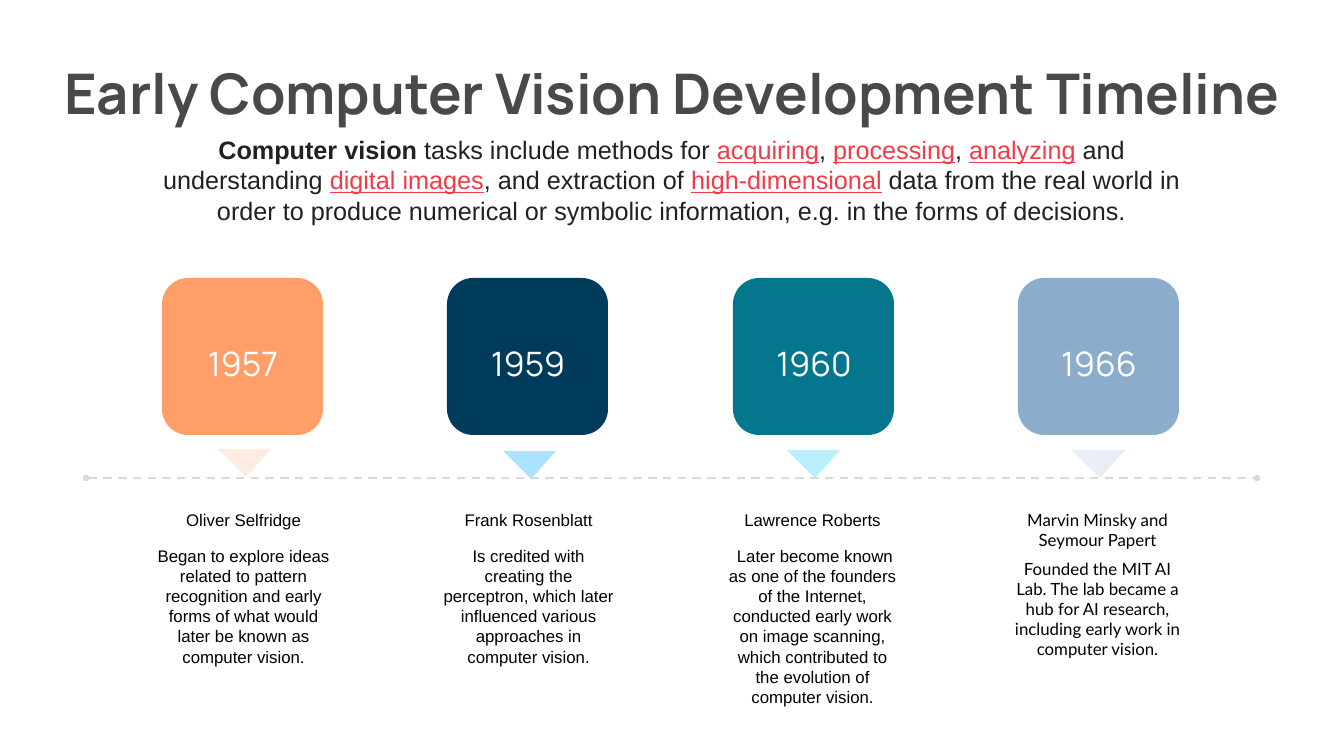
"""Build a one-page timeline of early computer vision development."""
import pptx
import pptx.dml.color
import pptx.enum.dml
import pptx.enum.shapes
import pptx.enum.text
import pptx.util
import lxml.etree
import pptx.oxml.ns

px = 18143


def paint(fill, color):
    fill.solid()
    fill.fore_color.rgb = pptx.dml.color.RGBColor.from_string(color)


def write(text, at, *, size, font="Arial", color="000000", bold=False, wrap=True, styles=None):
    box = page.shapes.add_textbox(*[value * px for value in at])
    box.text_frame.word_wrap = wrap
    box.text_frame.auto_size = pptx.enum.text.MSO_AUTO_SIZE.SHAPE_TO_FIT_TEXT
    para = box.text_frame.paragraphs[0]
    para.alignment = pptx.enum.text.PP_ALIGN.CENTER
    for part in text.split("|"):
        style = (styles or {}).get(part, {})
        span = para.add_run()
        span.text = part
        span.font.name = font
        span.font.size = pptx.util.Pt(size)
        span.font.bold = style.get("bold", bold)
        span.font.underline = style.get("underline", False)
        paint(span.font.fill, style.get("color", color))


deck = pptx.Presentation()
deck.slide_width = 1344 * px
deck.slide_height = 756 * px
page = deck.slides.add_slide(deck.slide_layouts[6])
paint(page.background.fill, "FFFFFF")

write("Early Computer Vision Development Timeline", (9, 56, 1326, 73),
      size=80, font="Manrope", color="494949", bold=True, wrap=False)

terms = ["acquiring", "processing", "analyzing", "digital images", "high-dimensional"]
styles = {term: {"color": "F33B48", "underline": True} for term in terms}
styles["Computer vision"] = {"bold": True}
write("Computer vision| tasks include methods for |acquiring|, |processing|, |analyzing"
      "| and understanding |digital images|, and extraction of |high-dimensional"
      "| data from the real world in order to produce numerical or symbolic information, "
      "e.g. in the forms of decisions.",
      (147, 132, 1049, 97), size=36, color="202122", styles=styles)

events = [
    ("1957", "FE9F6A", "FFECE1", 218, 449, "Arial", 152, 543, "Oliver Selfridge",
     "Began to explore ideas related to pattern recognition and early forms of what would "
     "later be known as computer vision."),
    ("1959", "003B5B", "ABE2FF", 503, 451, "Arial", 437, 543, "Frank Rosenblatt",
     "Is credited with creating the perceptron, which later influenced various approaches "
     "in computer vision."),
    ("1960", "04768D", "B8F1FD", 787, 450, "Arial", 721, 543, "Lawrence Roberts",
     " Later become known as one of the founders of the Internet, conducted early work on "
     "image scanning, which contributed to the evolution of computer vision."),
    ("1966", "8CACCC", "E8EEF5", 1072, 450, "Lato", 1006, 556, "Marvin Minsky and Seymour Papert",
     "Founded the MIT AI Lab. The lab became a hub for AI research, including early work in "
     "computer vision."),
]

for index, event in enumerate(events):
    year, tile_color, pointer_color, tip_left, tip_top, font, left, story_top, person, story = event
    tile_left = 162 + round(index * 856 / 3)
    tile = page.shapes.add_shape(pptx.enum.shapes.MSO_SHAPE.ROUNDED_RECTANGLE,
                                 tile_left * px, 278 * px, 161 * px, 157 * px)
    outline = page.shapes.build_freeform(tip_left, tip_top, scale=px)
    outline.add_line_segments([(tip_left + 53, tip_top), (tip_left + 28, tip_top + 28)])
    pointer = outline.convert_to_shape()
    for shape, color in ((tile, tile_color), (pointer, pointer_color)):
        shape.shadow.inherit = False
        shape.line.fill.background()
        paint(shape.fill, color)
    write(year, (tile_left - 5, 340, 172, 46), size=48, font="Manrope", color="FFFFFF")
    write(person, (left, 507, 183, 25), size=24, font=font)
    write(story, (left, story_top, 183, 127), size=24, font=font)

axis = page.shapes.add_connector(pptx.enum.shapes.MSO_CONNECTOR.STRAIGHT,
                                 86 * px, 478 * px, 1257 * px, 478 * px)
paint(axis.line.fill, "D9D9D9")
axis.line.width = pptx.util.Pt(3)
axis.line.dash_style = pptx.enum.dml.MSO_LINE.DASH
for end in ("a:headEnd", "a:tailEnd"):
    lxml.etree.SubElement(axis.line._get_or_add_ln(), pptx.oxml.ns.qn(end), type="oval")
lxml.etree.SubElement(axis._element.spPr, pptx.oxml.ns.qn("a:effectLst"))

deck.save("out.pptx")
